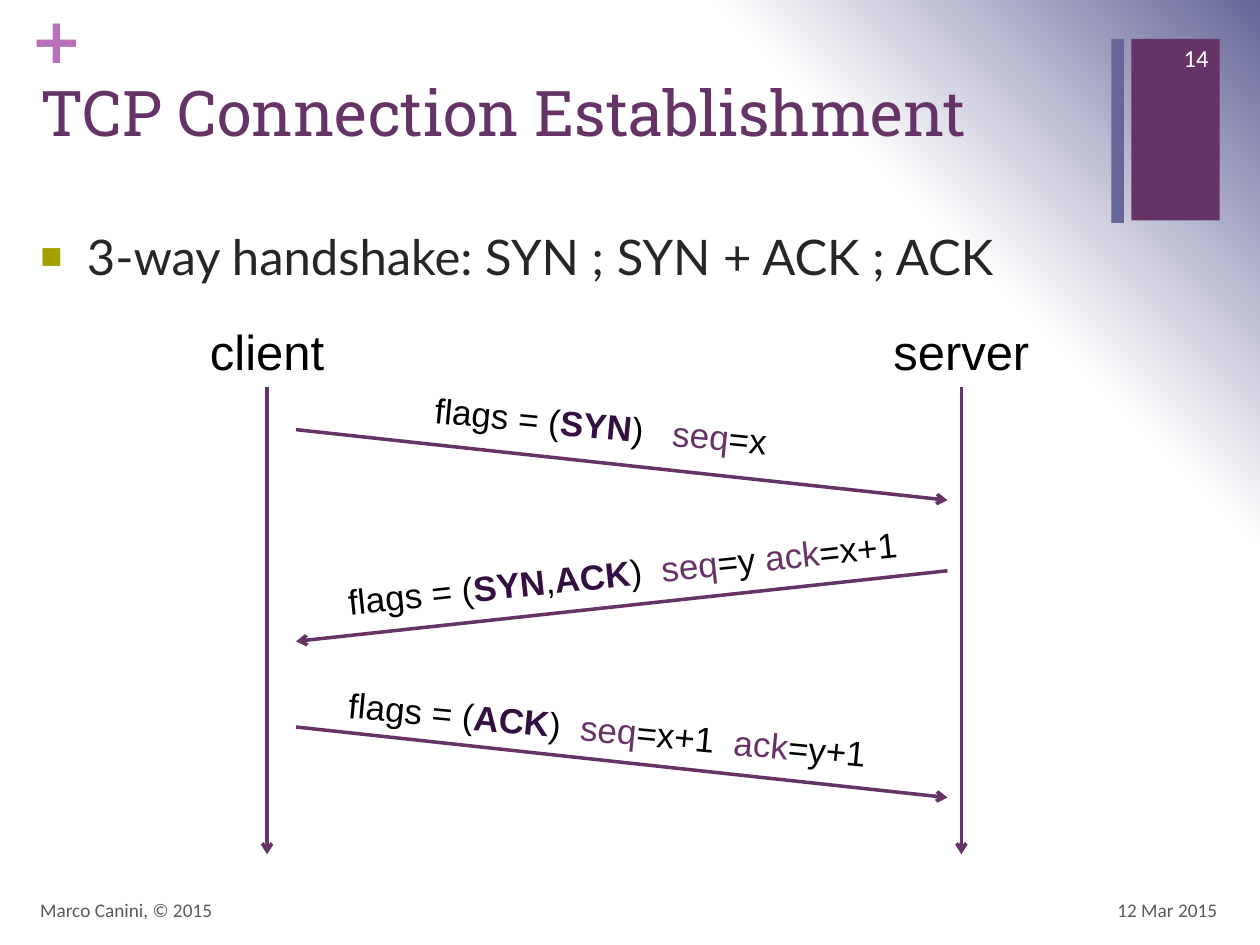
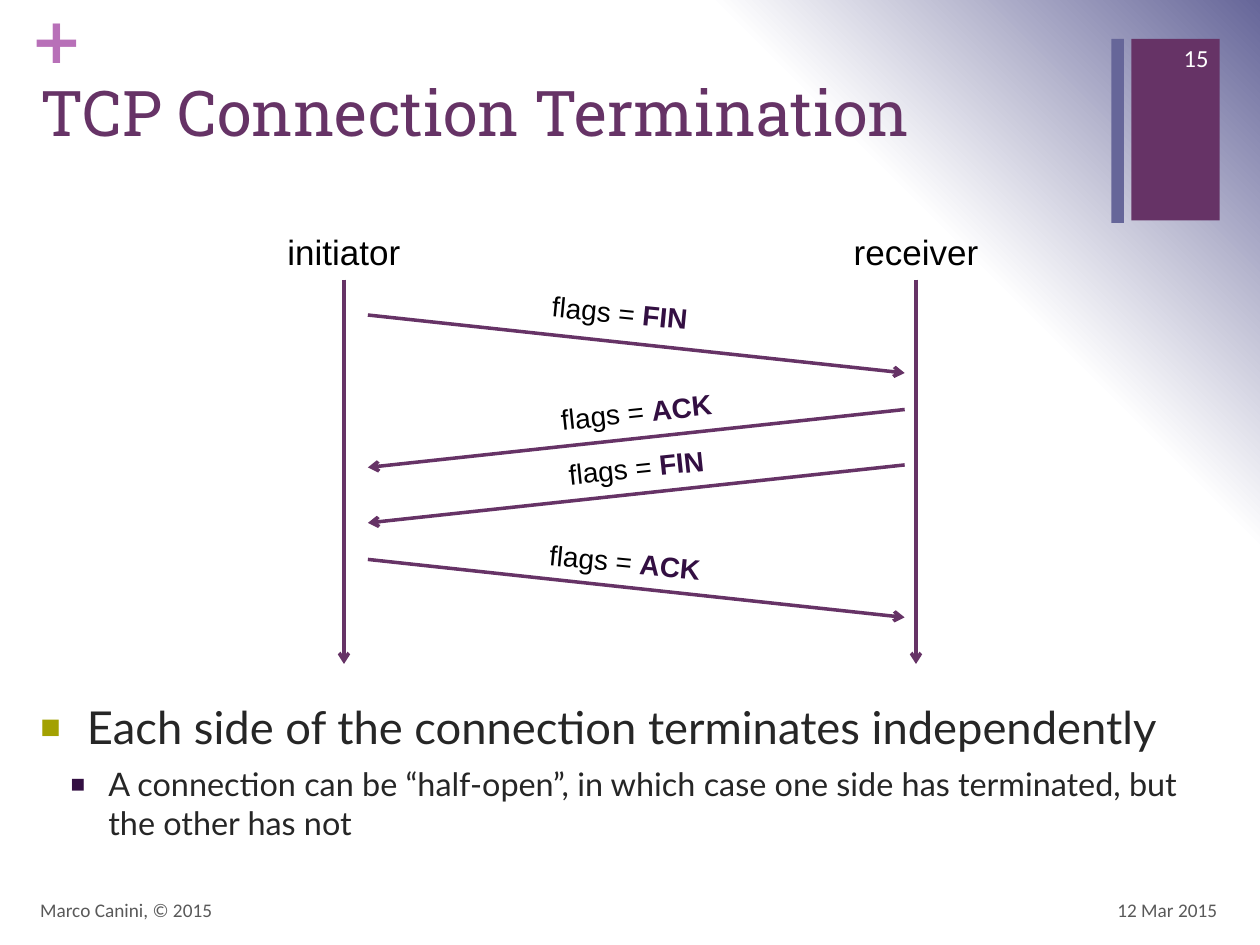
from dataclasses import dataclass
from typing import Optional

from lxml import etree
from pptx import Presentation
from pptx import oxml
from pptx import util as u
from pptx.dml.color import RGBColor
from pptx.enum import shapes, text
from pptx.oxml import ns
from pptx.slide import Slide, SlideMaster
from pptx.text.text import TextFrame, _Paragraph


@dataclass(frozen=True)
class Theme:
    purple: RGBColor = RGBColor(0x66, 0x33, 0x66)
    slate: RGBColor = RGBColor(0x66, 0x66, 0x99)
    orchid: RGBColor = RGBColor(0xB8, 0x70, 0xB8)
    olive: RGBColor = RGBColor(0xA3, 0xA1, 0x01)
    plum: RGBColor = RGBColor(0x33, 0x0F, 0x42)
    ink: RGBColor = RGBColor(0x26, 0x26, 0x26)
    grey: RGBColor = RGBColor(0x59, 0x59, 0x59)
    black: RGBColor = RGBColor(0, 0, 0)
    white: RGBColor = RGBColor(0xFF, 0xFF, 0xFF)
    title_font: str = "Roboto Slab"
    body_font: str = "Lato"
    diagram_font: str = "Arial"
    footer_font: str = "Calibri"
    plus_font: str = "DejaVu Sans"
    title_size: float = 36
    plus_size: float = 36
    footer_size: float = 11
    number_size: float = 14
    line_width: float = 2


THEME = Theme()


@dataclass(frozen=True)
class Box:
    left: float
    top: float
    width: float
    height: float

    def lengths(self) -> tuple:
        return tuple(u.Inches(n) for n in (self.left, self.top, self.width, self.height))


@dataclass(frozen=True)
class Style:
    font: str
    size: float
    color: RGBColor
    bold: bool = False
    align: text.PP_ALIGN = text.PP_ALIGN.LEFT


@dataclass(frozen=True)
class Segment:
    words: str
    color: RGBColor = THEME.black
    bold: bool = False
    spacing: float = 0


@dataclass(frozen=True)
class Message:
    start: float
    label_x: float
    label_y: float
    label_width: float
    segments: tuple
    to_right: bool = True


@dataclass(frozen=True)
class Exchange:
    hosts: tuple
    lifelines: tuple
    top: float
    bottom: float
    host_width: float
    host_height: float
    host_size: float
    arrow_span: tuple
    drop: float
    label_height: float
    label_size: float
    messages: tuple


@dataclass(frozen=True)
class Bullet:
    words: str
    size: float
    level: int = 0


@dataclass(frozen=True)
class Page:
    number: int
    title: str
    body: Box
    bullets: tuple
    exchange: Exchange


@dataclass(frozen=True)
class BulletLevel:
    margin: float
    indent: float
    space_before: float
    color: RGBColor


LEVELS = (
    BulletLevel(0.37, -0.37, 20, THEME.olive),
    BulletLevel(0.54, -0.3, 6, THEME.plum),
)
TITLE_BOX = Box(0.22, 0.53, 8.59, 1.22)
BANDS = ((Box(8.98, 0.31, 0.7, 1.44), THEME.purple), (Box(8.82, 0.31, 0.1, 1.46), THEME.slate))


def flag(words: str) -> Segment:
    return Segment(words, THEME.plum, True)


def field(words: str) -> Segment:
    return Segment(words, THEME.purple)


def gap(extra: float) -> Segment:
    return Segment(" ", spacing=extra)


def style_paragraph(paragraph: _Paragraph, style: Style) -> None:
    paragraph.alignment = style.align
    font = paragraph.font
    font.name, font.size, font.bold = style.font, u.Pt(style.size), style.bold
    font.color.rgb = style.color


def add_text(slide: Slide, box: Box, segments: tuple, style: Style, rotation: float = 0,
             anchor: text.MSO_ANCHOR = text.MSO_ANCHOR.TOP, inset: Optional[float] = None) -> None:
    shape = slide.shapes.add_textbox(*box.lengths())
    shape.rotation = rotation
    frame = shape.text_frame
    frame.word_wrap = True
    frame.vertical_anchor = anchor
    if inset is not None:
        frame.margin_left = frame.margin_right = u.Inches(inset)
        frame.margin_top = frame.margin_bottom = u.Inches(inset)
    paragraph = frame.paragraphs[0]
    style_paragraph(paragraph, style)
    for segment in segments:
        run = paragraph.add_run()
        run.text = segment.words
        if len(segments) > 1:
            run.font.color.rgb = segment.color
            run.font.bold = segment.bold
        if segment.spacing:
            run.font._element.set("spc", str(round(segment.spacing * 100)))


def add_arrow(slide: Slide, start: tuple, end: tuple) -> None:
    points = [u.Inches(n) for n in (*start, *end)]
    connector = slide.shapes.add_connector(shapes.MSO_CONNECTOR.STRAIGHT, *points)
    connector.line.color.rgb = THEME.purple
    connector.line.width = u.Pt(THEME.line_width)
    etree.SubElement(connector.line._get_or_add_ln(), ns.qn("a:tailEnd"), type="arrow")
    etree.SubElement(connector._element.spPr, ns.qn("a:effectLst"))


def paint_background(master: SlideMaster) -> None:
    master.background.fill.solid()
    properties = master._element.xpath("./p:cSld/p:bg/p:bgPr")[0]
    stops = ((0, THEME.white), (75000, THEME.white), (100000, THEME.slate))
    stop_xml = "".join(f'<a:gs pos="{position}"><a:srgbClr val="{color}"/></a:gs>'
                       for position, color in stops)
    properties.replace(properties[0], oxml.parse_xml(
        f'<a:gradFill {ns.nsdecls("a")} rotWithShape="1"><a:gsLst>{stop_xml}</a:gsLst>'
        '<a:path path="circle"><a:fillToRect l="0" t="100000" r="100000" b="0"/></a:path>'
        '</a:gradFill>'))


def add_frame(slide: Slide, number: int) -> None:
    for box, color in BANDS:
        band = slide.shapes.add_shape(shapes.MSO_SHAPE.RECTANGLE, *box.lengths())
        band.shadow.inherit = False
        band.fill.solid()
        band.fill.fore_color.rgb = color
        band.line.fill.background()
    add_text(slide, Box(0.24, 0, 0.29, 0.61), (Segment("+"),),
             Style(THEME.plus_font, THEME.plus_size, THEME.orchid, True), inset=0)
    right = text.PP_ALIGN.RIGHT
    footer = Style(THEME.footer_font, THEME.footer_size, THEME.grey)
    date = Style(THEME.footer_font, THEME.footer_size, THEME.grey, align=right)
    page_number = Style(THEME.footer_font, THEME.number_size, THEME.white, align=right)
    for box, words, style in (
        (Box(7.43, 7.02, 2.33, 0.4), "12 Mar 2015", date),
        (Box(0.22, 7.02, 6.7, 0.4), "Marco Canini, © 2015", footer),
        (Box(9.08, 0.26, 0.61, 0.4), str(number), page_number),
    ):
        add_text(slide, box, (Segment(words),), style, anchor=text.MSO_ANCHOR.MIDDLE)


def fill_bullets(frame: TextFrame, bullets: tuple) -> None:
    for index, bullet in enumerate(bullets):
        paragraph = frame.add_paragraph() if index else frame.paragraphs[0]
        paragraph.text = bullet.words
        paragraph.level = bullet.level
        level = LEVELS[bullet.level]
        properties = paragraph._element.get_or_add_pPr()
        properties.set("marL", str(u.Inches(level.margin)))
        properties.set("indent", str(u.Inches(level.indent)))
        color = etree.SubElement(properties, ns.qn("a:buClr"))
        etree.SubElement(color, ns.qn("a:srgbClr"), val=str(level.color))
        etree.SubElement(properties, ns.qn("a:buSzPct"), val="75000")
        etree.SubElement(properties, ns.qn("a:buFont"), typeface=THEME.diagram_font)
        etree.SubElement(properties, ns.qn("a:buChar"), char="■")
        paragraph.space_before = u.Pt(level.space_before if index else 0)
        style_paragraph(paragraph, Style(THEME.body_font, bullet.size, THEME.ink))


def add_exchange(slide: Slide, exchange: Exchange) -> None:
    center = text.PP_ALIGN.CENTER
    host_style = Style(THEME.diagram_font, exchange.host_size, THEME.black, align=center)
    label_style = Style(THEME.diagram_font, exchange.label_size, THEME.black, align=center)
    for host, x in zip(exchange.hosts, exchange.lifelines):
        add_arrow(slide, (x, exchange.top), (x, exchange.bottom))
        box = Box(x - exchange.host_width / 2, exchange.top - exchange.host_height,
                  exchange.host_width, exchange.host_height)
        add_text(slide, box, (Segment(host),), host_style)
    for message in exchange.messages:
        left, right = exchange.arrow_span
        source, target = (left, right) if message.to_right else (right, left)
        add_arrow(slide, (source, message.start), (target, message.start + exchange.drop))
        box = Box(message.label_x - message.label_width / 2,
                  message.label_y - exchange.label_height / 2,
                  message.label_width, exchange.label_height)
        add_text(slide, box, message.segments, label_style, 5.5 if message.to_right else 354)


def add_page(presentation: Presentation, page: Page) -> None:
    slide = presentation.slides.add_slide(presentation.slide_layouts[1])
    title, body = slide.shapes.title, slide.placeholders[1]
    for shape, box in ((title, TITLE_BOX), (body, page.body)):
        shape.left, shape.top, shape.width, shape.height = box.lengths()
        shape.text_frame.vertical_anchor = text.MSO_ANCHOR.TOP
        shape.text_frame.auto_size = text.MSO_AUTO_SIZE.NONE
    title.text_frame.text = page.title
    style_paragraph(title.text_frame.paragraphs[0],
                    Style(THEME.title_font, THEME.title_size, THEME.purple))
    fill_bullets(body.text_frame, page.bullets)
    add_frame(slide, page.number)
    add_exchange(slide, page.exchange)


HANDSHAKE = Exchange(
    ("client", "server"), (2.12, 7.63), 3.07, 6.78, 1.46, 0.57, 28, (2.35, 7.52), 0.56, 0.44, 20,
    (
        Message(3.41, 4.77, 3.38, 3.73, (
            Segment("flags = ("), flag("SYN"), Segment(")"), gap(11.1), field("seq"),
            Segment("=x"))),
        Message(4.53, 4.94, 4.55, 5.61, (
            Segment("flags = ("), flag("SYN"), Segment(","), flag("ACK"), Segment(")"), gap(5.6),
            field("seq"), Segment("=y "), field("ack"), Segment("=x+1")), to_right=False),
        Message(5.77, 4.82, 5.79, 5.42, (
            Segment("flags = ("), flag("ACK"), Segment(")"), gap(5.6), field("seq"),
            Segment("=x+1"), gap(5.6), field("ack"), Segment("=y+1"))),
    ))
TERMINATION = Exchange(
    ("initiator", "receiver"), (2.73, 7.27), 2.22, 5.27, 1.3, 0.44, 20, (2.92, 7.18), 0.46, 0.37, 16,
    (
        Message(2.5, 4.92, 2.48, 3.07, (Segment("flags = "), flag("FIN"))),
        Message(3.25, 5.05, 3.27, 4.62, (Segment("flags = "), flag("ACK")), to_right=False),
        Message(3.69, 5.05, 3.71, 4.62, (Segment("flags = "), flag("FIN")), to_right=False),
        Message(4.44, 4.96, 4.46, 4.46, (Segment("flags = "), flag("ACK"))),
    ))
PAGES = (
    Page(14, "TCP Connection Establishment", Box(0.22, 1.75, 9.54, 5.27),
         (Bullet("3-way handshake: SYN ; SYN + ACK ; ACK", 28),), HANDSHAKE),
    Page(15, "TCP Connection Termination", Box(0.22, 5.5, 9.54, 1.52),
         (Bullet("Each side of the connection terminates independently", 25.9),
          Bullet("A connection can be “half-open”, in which case one side has terminated, "
                 "but the other has not", 18.5, 1)), TERMINATION),
)


def main() -> None:
    presentation = Presentation()
    presentation.slide_width, presentation.slide_height = u.Inches(10), u.Inches(7.5)
    paint_background(presentation.slide_master)
    for page in PAGES:
        add_page(presentation, page)
    presentation.save("out.pptx")


if __name__ == "__main__":
    main()
